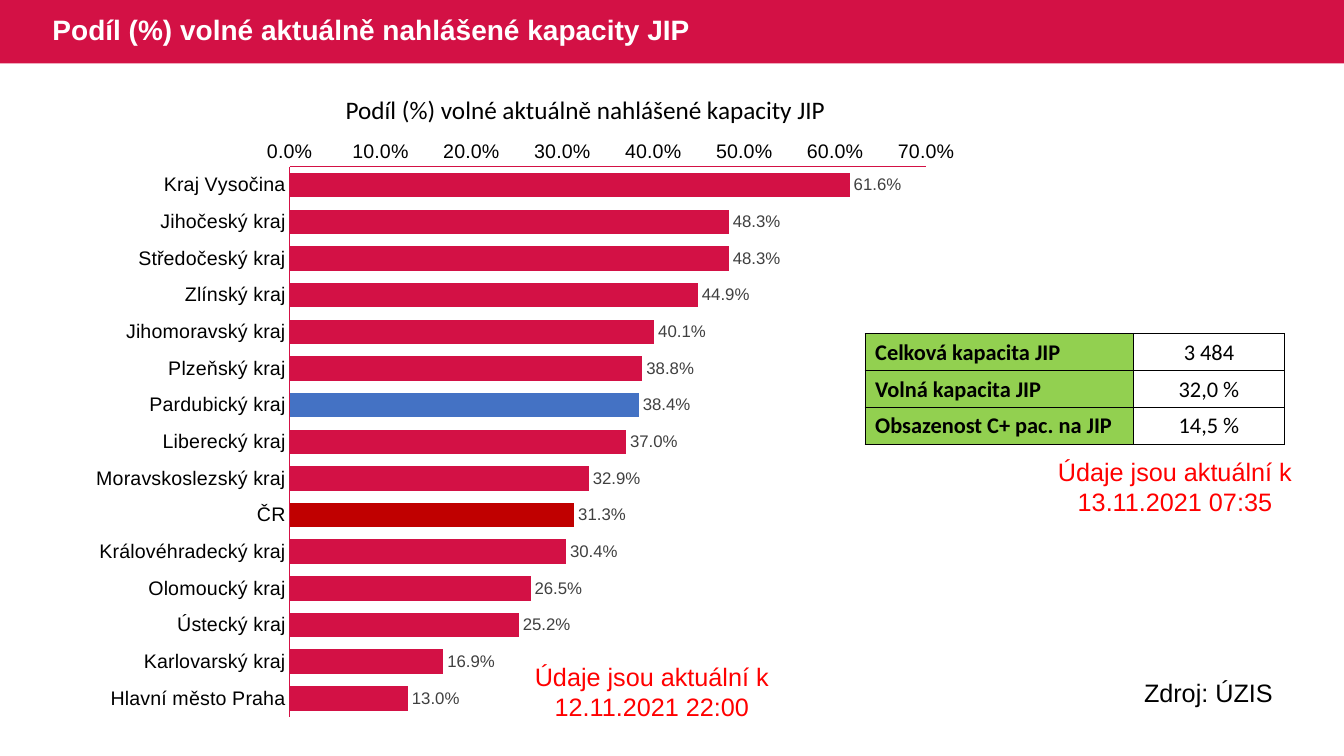
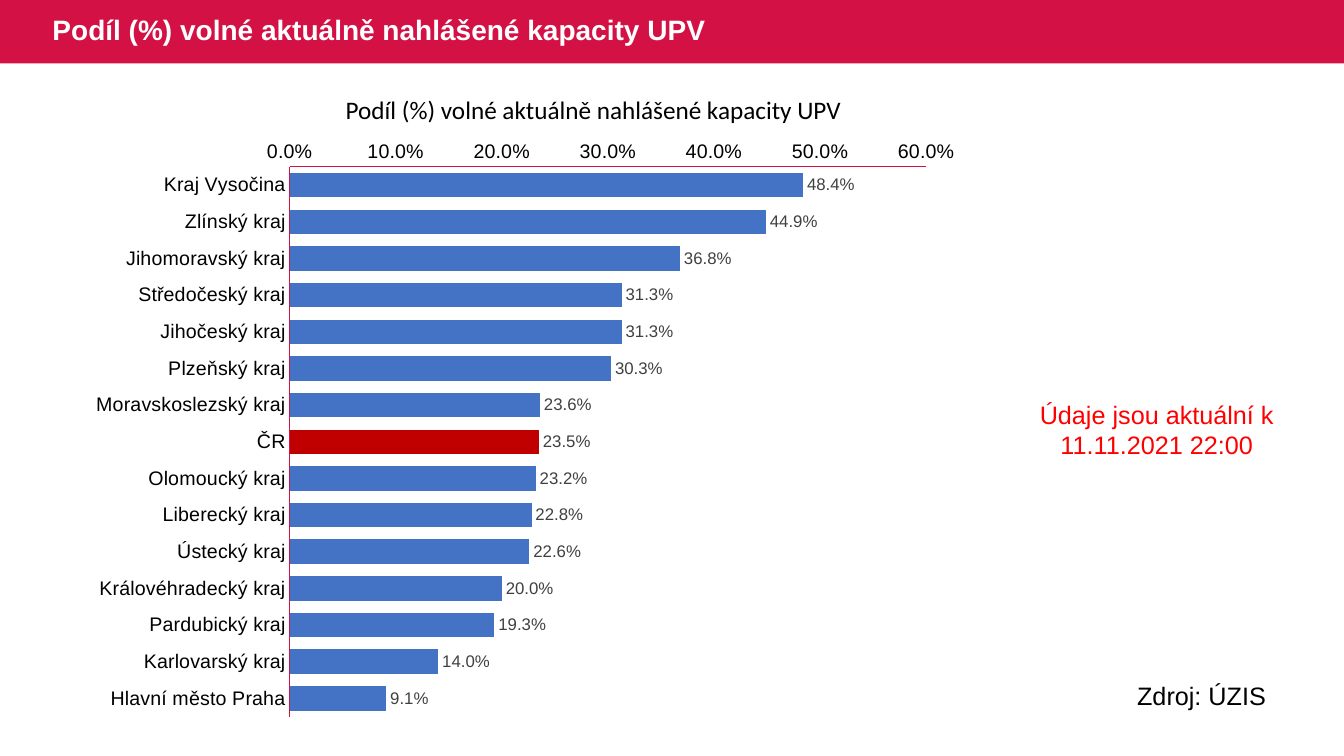
from lxml.etree import SubElement
from pptx import Presentation
from pptx.chart.data import CategoryChartData
from pptx.dml.color import RGBColor
from pptx.enum.chart import XL_CHART_TYPE, XL_LABEL_POSITION, XL_TICK_MARK
from pptx.enum.shapes import MSO_SHAPE
from pptx.enum.text import MSO_ANCHOR, MSO_AUTO_SIZE, PP_ALIGN
from pptx.oxml import parse_xml
from pptx.oxml.ns import nsdecls, qn
from pptx.util import Inches, Pt

WIDTH, HEIGHT = Inches(13.33), Inches(7.5)
CRIMSON, BLUE, DARK_RED, GREEN = "D31145", "4472C4", "C00000", "92D050"
BLACK, WHITE, RED, GREY = "000000", "FFFFFF", "FF0000", "404040"
BAND_HEIGHT = 8.4
PERCENT = "0.0%"

TITLE_FORMAT = {"name": "Arial", "size": Pt(20), "bold": True}
BODY_FORMAT = {"name": "Arial", "size": Pt(18)}
CAPTION_FORMAT = {"name": "Calibri", "size": Pt(18)}
TABLE_FORMAT = {"name": "Calibri", "size": Pt(16)}
CHART_FORMAT = {"name": "Arial", "size": Pt(10)}
AXIS_FORMAT = {"name": "Arial", "size": Pt(14)}
LABEL_FORMAT = {"name": "Arial", "size": Pt(12)}
PLOT_AREA = {"x": 0.24, "y": 0.06, "w": 0.71, "h": 0.92}

ICU_SHARES = {
    "Kraj Vysočina": 0.616, "Jihočeský kraj": 0.483, "Středočeský kraj": 0.483,
    "Zlínský kraj": 0.449, "Jihomoravský kraj": 0.401, "Plzeňský kraj": 0.388,
    "Pardubický kraj": 0.384, "Liberecký kraj": 0.37,
    "Moravskoslezský kraj": 0.329, "ČR": 0.313, "Královéhradecký kraj": 0.304,
    "Olomoucký kraj": 0.265, "Ústecký kraj": 0.252, "Karlovarský kraj": 0.169,
    "Hlavní město Praha": 0.13,
}
VENTILATION_SHARES = {
    "Kraj Vysočina": 0.484, "Zlínský kraj": 0.449, "Jihomoravský kraj": 0.368,
    "Středočeský kraj": 0.313, "Jihočeský kraj": 0.313, "Plzeňský kraj": 0.303,
    "Moravskoslezský kraj": 0.236, "ČR": 0.235, "Olomoucký kraj": 0.232,
    "Liberecký kraj": 0.228, "Ústecký kraj": 0.226,
    "Královéhradecký kraj": 0.2, "Pardubický kraj": 0.193,
    "Karlovarský kraj": 0.14, "Hlavní město Praha": 0.091,
}
ICU_SUMMARY = [
    ("Celková kapacita JIP", "3 484"),
    ("Volná kapacita JIP", "32,0 %"),
    ("Obsazenost C+ pac. na JIP", "14,5 %"),
]


def share(left, top, width, height):
    return [int(total * part / 100) for total, part in
            zip((WIDTH, HEIGHT, WIDTH, HEIGHT), (left, top, width, height))]


def rgb(color):
    return RGBColor.from_string(color)


def apply(target, values):
    for name, value in values.items():
        setattr(target, name, value)


def paint(fill, color):
    fill.solid()
    fill.fore_color.rgb = rgb(color)


def style_font(font, values, color=BLACK):
    apply(font, values)
    font.color.rgb = rgb(color)


def add_band(slide):
    band = slide.shapes.add_shape(MSO_SHAPE.RECTANGLE, *share(0, 0, 100, BAND_HEIGHT))
    band.shadow.inherit = False
    paint(band.fill, CRIMSON)
    band.line.fill.background()
    band.element.xpath(".//p:cNvPr")[0].set("id", "20")
    slide.slide_layout.shapes.element.insert(2, band.element)


def set_title(slide, text):
    title = slide.shapes.title
    places = share(3.15, 0, 86.7, BAND_HEIGHT)
    apply(title, dict(zip(("left", "top", "width", "height"), places)))
    frame = title.text_frame
    apply(frame, {"text": text, "vertical_anchor": MSO_ANCHOR.MIDDLE,
                  "auto_size": MSO_AUTO_SIZE.NONE, "word_wrap": True})
    paragraph = frame.paragraphs[0]
    apply(paragraph, {"alignment": PP_ALIGN.LEFT, "line_spacing": 0.9})
    style_font(paragraph.font, TITLE_FORMAT, WHITE)


def add_text(slide, text, place, values=BODY_FORMAT, color=BLACK, align=PP_ALIGN.LEFT):
    frame = slide.shapes.add_textbox(*share(*place)).text_frame
    apply(frame, {"word_wrap": True, "text": text})
    paragraph = frame.paragraphs[0]
    paragraph.alignment = align
    style_font(paragraph.font, values, color)


def add_update_note(slide, moment, left, top):
    add_text(slide, f"Údaje jsou aktuální k {moment}", (left, top, 19.13, 9.47),
             color=RED, align=PP_ALIGN.CENTER)


def add_source(slide, left, top):
    add_text(slide, "Zdroj: ÚZIS", (left, top, 15, 5.33))


def fix_plot_area(chart):
    plot_area = chart.element.find(".//" + qn("c:plotArea"))
    for layout in plot_area.findall(qn("c:layout")):
        plot_area.remove(layout)
    layout = parse_xml(f"<c:layout {nsdecls('c')}><c:manualLayout/></c:layout>")
    settings = {"layoutTarget": "inner", "xMode": "edge", "yMode": "edge", **PLOT_AREA}
    for name, value in settings.items():
        SubElement(layout[0], qn(f"c:{name}")).set("val", str(value))
    plot_area.insert(0, layout)


def style_axis(axis):
    apply(axis, {"has_major_gridlines": False, "major_tick_mark": XL_TICK_MARK.NONE,
                 "minor_tick_mark": XL_TICK_MARK.NONE})
    style_font(axis.tick_labels.font, AXIS_FORMAT)
    axis.format.line.width = Pt(0.75)
    axis.format.line.color.rgb = rgb(CRIMSON)


def add_region_chart(slide, shares, maximum, color, highlights):
    data = CategoryChartData(number_format=PERCENT)
    data.categories = list(shares)
    data.add_series("Series 1", shares.values())
    chart = slide.shapes.add_chart(XL_CHART_TYPE.BAR_CLUSTERED,
                                   *share(5.55, 17.33, 66.7, 79.07), data).chart
    apply(chart, {"has_title": False, "has_legend": False})
    style_font(chart.font, CHART_FORMAT)
    fix_plot_area(chart)

    for axis in (chart.category_axis, chart.value_axis):
        style_axis(axis)
    chart.category_axis.reverse_order = True
    apply(chart.value_axis, {"minimum_scale": 0, "maximum_scale": maximum, "major_unit": 0.1})
    number_style = {"number_format": PERCENT, "number_format_is_linked": False}
    apply(chart.value_axis.tick_labels, number_style)

    plot = chart.plots[0]
    apply(plot, {"gap_width": 50, "vary_by_categories": False, "has_data_labels": True})
    labels = plot.data_labels
    apply(labels, {"show_value": True, "position": XL_LABEL_POSITION.OUTSIDE_END, **number_style})
    style_font(labels.font, LABEL_FORMAT, GREY)

    series = plot.series[0]
    paint(series.format.fill, color)
    regions = list(shares)
    for region, highlight in highlights.items():
        paint(series.points[regions.index(region)].format.fill, highlight)


def add_borders(cell):
    properties = cell._tc.get_or_add_tcPr()
    for side in ("lnL", "lnR", "lnT", "lnB"):
        line = SubElement(properties, qn(f"a:{side}"), w=str(Pt(0.75)))
        fill = SubElement(line, qn("a:solidFill"))
        SubElement(fill, qn("a:srgbClr"), val=BLACK)


def add_summary_table(slide, rows):
    place = share(64.37, 44.13, 31.2, 14.6)
    table = slide.shapes.add_table(len(rows), 2, *place).table
    apply(table, {"first_row": False, "horz_banding": False})
    for column, part in zip(table.columns, (0.64, 0.36)):
        column.width = int(place[2] * part)
    for row_index, texts in enumerate(rows):
        for column_index, text in enumerate(texts):
            cell = table.cell(row_index, column_index)
            is_heading = column_index == 0
            cell.text = text
            add_borders(cell)
            paragraph = cell.text_frame.paragraphs[0]
            style_font(paragraph.font, {**TABLE_FORMAT, "bold": is_heading})
            if is_heading:
                paint(cell.fill, GREEN)
            else:
                cell.fill.background()
                cell.vertical_anchor = MSO_ANCHOR.MIDDLE
                paragraph.alignment = PP_ALIGN.CENTER


def add_capacity_slide(deck, unit, shares, maximum, color, highlights):
    slide = deck.slides.add_slide(deck.slide_layouts[5])
    heading = f"Podíl (%) volné aktuálně nahlášené kapacity {unit}"
    set_title(slide, heading)
    add_region_chart(slide, shares, maximum, color, highlights)
    add_text(slide, heading, (24.98, 11.87, 40, 5.33), CAPTION_FORMAT)
    return slide


def main():
    deck = Presentation()
    apply(deck, {"slide_width": WIDTH, "slide_height": HEIGHT})

    icu = add_capacity_slide(deck, "JIP", ICU_SHARES, 0.7, CRIMSON,
                             {"Pardubický kraj": BLUE, "ČR": DARK_RED})
    add_band(icu)
    add_update_note(icu, "12.11.2021 22:00", 38.93, 86.8)
    add_source(icu, 84.38, 88.93)
    add_summary_table(icu, ICU_SUMMARY)
    add_update_note(icu, "13.11.2021 07:35", 77.85, 59.73)

    ventilation = add_capacity_slide(deck, "UPV", VENTILATION_SHARES, 0.6, BLUE,
                                     {"ČR": DARK_RED})
    add_update_note(ventilation, "11.11.2021 22:00", 76.5, 52.13)
    add_source(ventilation, 83.87, 89.33)

    deck.save("out.pptx")


if __name__ == "__main__":
    main()
